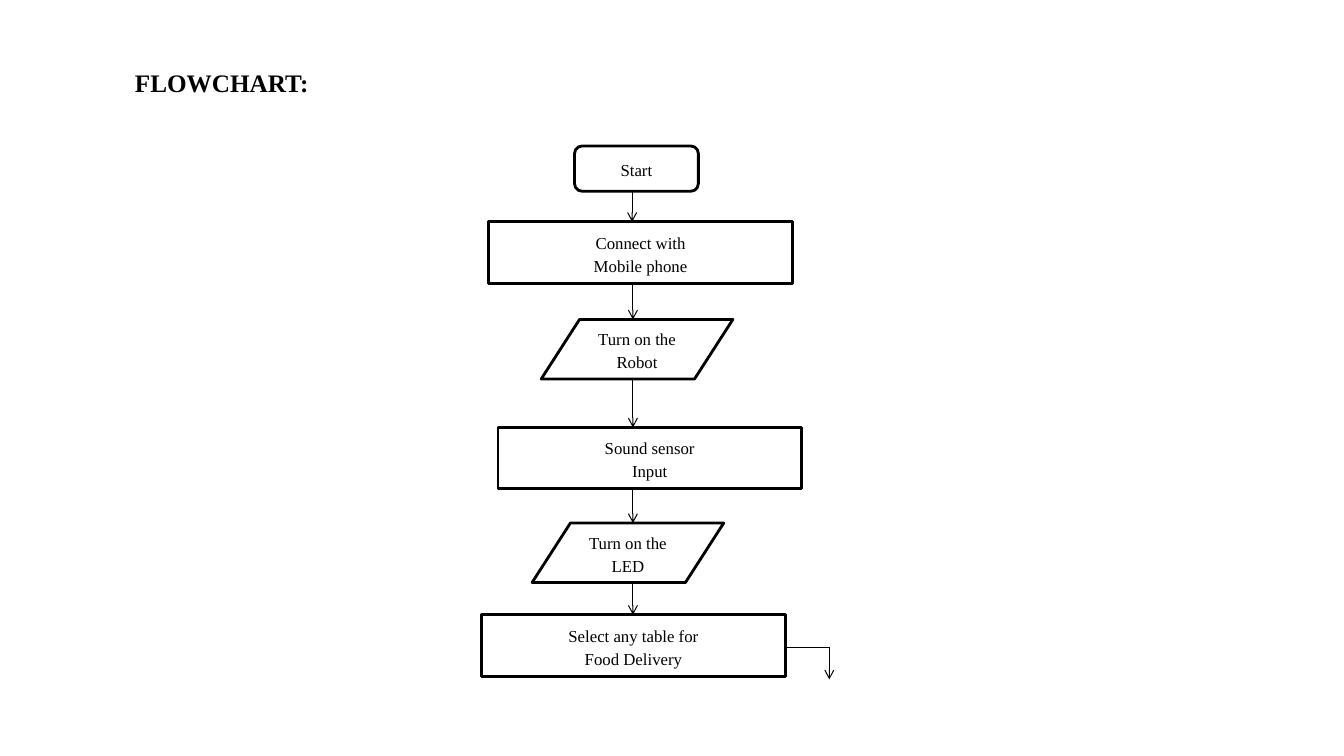
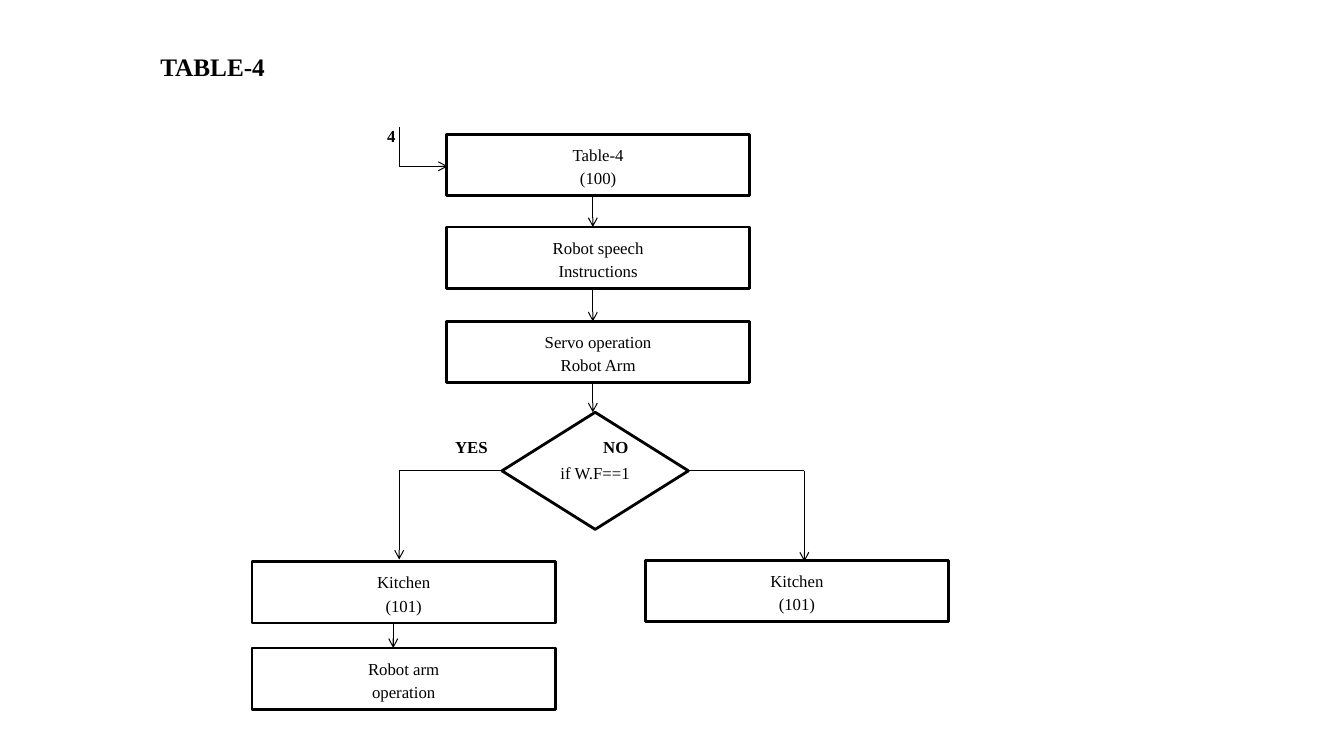
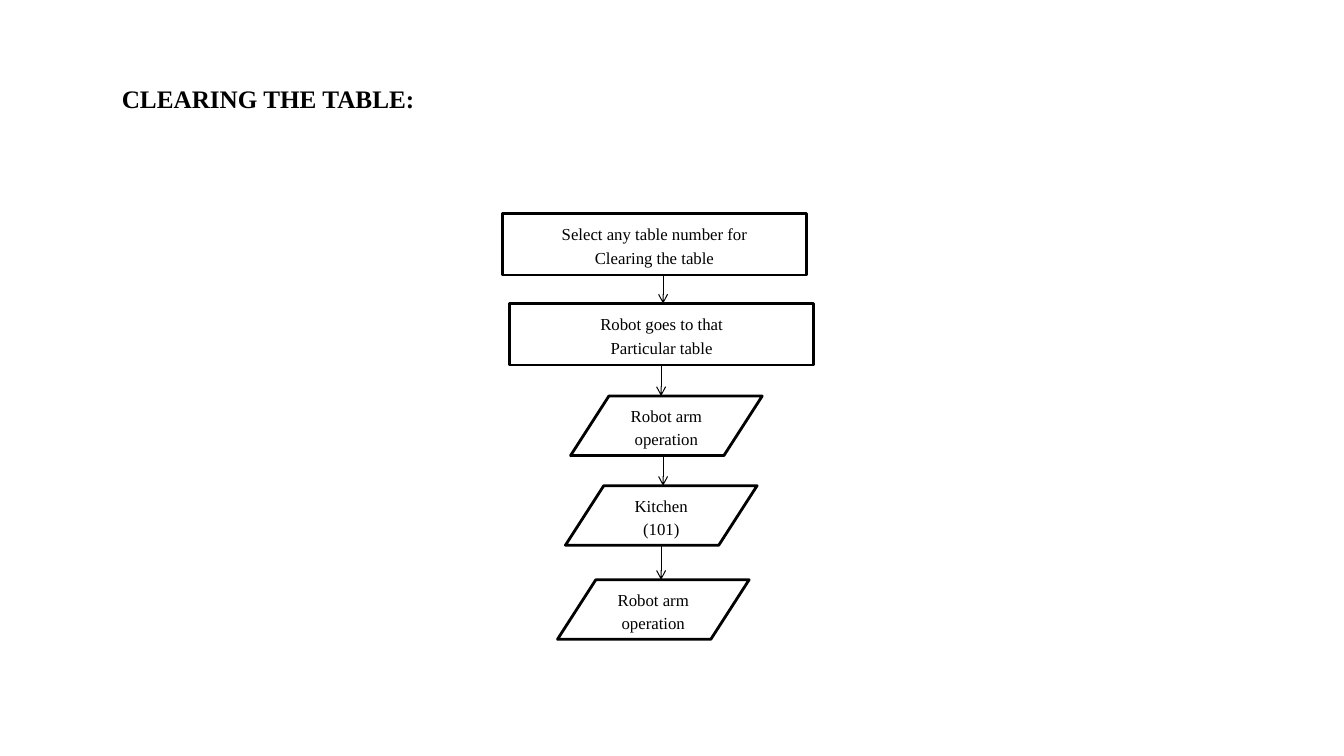
"""Build three flowchart slides for a food delivery robot."""
from itertools import pairwise

from lxml.etree import SubElement
from pptx import Presentation
from pptx.dml.color import RGBColor
from pptx.enum.shapes import MSO_CONNECTOR, MSO_SHAPE
from pptx.enum.text import MSO_ANCHOR, MSO_AUTO_SIZE, PP_ALIGN
from pptx.oxml.ns import qn
from pptx.util import Cm, Pt

COLORS = {"ink": "000000", "paper": "FFFFFF"}
FONT = "Times New Roman"
KINDS = {
    "start": (MSO_SHAPE.FLOWCHART_ALTERNATE_PROCESS, 3.12, 1.14),
    "process": (MSO_SHAPE.RECTANGLE, 7.65, 1.55),
    "io": (MSO_SHAPE.FLOWCHART_DATA, 4.83, 1.5),
    "decision": (MSO_SHAPE.FLOWCHART_DECISION, 4.7, 2.95),
}


def color(name):
    return RGBColor.from_string(COLORS[name])


class Flowchart:
    """Holds the shared style and the slide being drawn."""

    def __init__(self):
        self.prs = Presentation()
        self.prs.slide_width, self.prs.slide_height = Cm(33.87), Cm(19.05)
        self.s = None

    def add_slide(self, title, x, mid_y):
        self.s = self.prs.slides.add_slide(self.prs.slide_layouts[5])
        sp = self.s.shapes.title
        sp.left, sp.top, sp.width, sp.height = Cm(x), Cm(mid_y - 0.4), Cm(9), Cm(0.8)
        self.set_text(sp, title, 18, bold=True, align=PP_ALIGN.LEFT)

    def set_text(self, sp, text, size, bold=False, align=PP_ALIGN.CENTER, spacing=1.0):
        tf = sp.text_frame
        tf.text = text
        tf.word_wrap = True
        tf.auto_size = MSO_AUTO_SIZE.NONE
        tf.vertical_anchor = MSO_ANCHOR.MIDDLE
        tf.margin_left = tf.margin_right = tf.margin_top = tf.margin_bottom = 0
        for p in tf.paragraphs:
            p.alignment = align
            p.line_spacing = spacing
            for r in p.runs:
                r.font.name, r.font.size, r.font.bold = FONT, Pt(size), bold
                r.font.color.rgb = color("ink")

    def step(self, kind, x, y, text):
        preset, w, h = KINDS[kind]
        sp = self.s.shapes.add_shape(preset, Cm(x), Cm(y), Cm(w), Cm(h))
        sp.shadow.inherit = False
        sp.fill.solid()
        sp.fill.fore_color.rgb = color("paper")
        sp.line.color.rgb = color("ink")
        sp.line.width = Pt(2)
        self.set_text(sp, text, 12, spacing=1.15)
        return sp

    def label(self, text, mid_x, mid_y):
        w, h = 0.4 * len(text), 0.6
        sp = self.s.shapes.add_textbox(Cm(mid_x - w / 2), Cm(mid_y - h / 2), Cm(w), Cm(h))
        self.set_text(sp, text, 12, bold=True)

    def line(self, start, end, arrow=True):
        cx = self.s.shapes.add_connector(MSO_CONNECTOR.STRAIGHT, *start, *end)
        cx.line.color.rgb = color("ink")
        cx.line.width = Pt(0.75)
        props = cx._element.spPr
        if arrow:
            SubElement(props.find(qn("a:ln")), qn("a:tailEnd"), type="arrow")
        SubElement(props, qn("a:effectLst"))

    def link(self, upper, lower, x):
        self.line((Cm(x), upper.top + upper.height), (Cm(x), lower.top))

    def bend(self, *points):
        corners = [(Cm(x), Cm(y)) for x, y in points]
        for start, end in pairwise(corners):
            self.line(start, end, arrow=end == corners[-1])

    def chain(self, steps, spine):
        shapes = [self.step(*step) for step in steps]
        for (upper, lower), x in zip(pairwise(shapes), spine):
            self.link(upper, lower, x)


def main():
    chart = Flowchart()

    chart.add_slide("FLOWCHART:", 3.4, 2.08)
    chart.chain([
        ("start", 14.48, 3.68, "Start"),
        ("process", 12.32, 5.59, "Connect with\nMobile phone"),
        ("io", 13.64, 8.05, "Turn on the\nRobot"),
        ("process", 12.55, 10.77, "Sound sensor\nInput"),
        ("io", 13.41, 13.18, "Turn on the\nLED"),
        ("process", 12.14, 15.49, "Select any table for\nFood Delivery"),
    ], [15.93] + [15.95] * 4)
    chart.bend((19.84, 16.31), (20.9, 16.31), (20.9, 17.12))

    chart.add_slide("TABLE-4", 4.04, 1.67)
    chart.chain([
        ("process", 11.25, 3.38, "Table-4\n(100)"),
        ("process", 11.25, 5.72, "Robot speech\nInstructions"),
        ("process", 11.25, 8.1, "Servo operation\nRobot Arm"),
        ("decision", 12.65, 10.39, "if W.F==1"),
    ], [14.94] * 3)
    chart.chain([
        ("process", 6.35, 14.15, "Kitchen\n(101)"),
        ("process", 6.35, 16.33, "Robot arm\noperation"),
    ], [9.91])
    chart.step("process", 16.26, 14.12, "Kitchen\n(101)")
    chart.bend((10.06, 3.2), (10.06, 4.19), (11.28, 4.19))
    chart.bend((12.65, 11.86), (10.06, 11.86), (10.06, 14.1))
    chart.bend((17.32, 11.86), (20.27, 11.86), (20.27, 14.15))
    chart.label("4", 9.86, 3.43)
    chart.label("YES", 11.88, 11.26)
    chart.label("NO", 15.52, 11.26)

    chart.add_slide("CLEARING THE TABLE:", 3.07, 2.49)
    chart.chain([
        ("process", 12.67, 5.38, "Select any table number for\nClearing the table"),
        ("process", 12.85, 7.65, "Robot goes to that\nParticular table"),
        ("io", 14.38, 9.98, "Robot arm\noperation"),
        ("io", 14.25, 12.24, "Kitchen\n(101)"),
        ("io", 14.05, 14.61, "Robot arm\noperation"),
    ], [16.71, 16.66] * 2)

    chart.prs.save("out.pptx")


if __name__ == "__main__":
    main()
